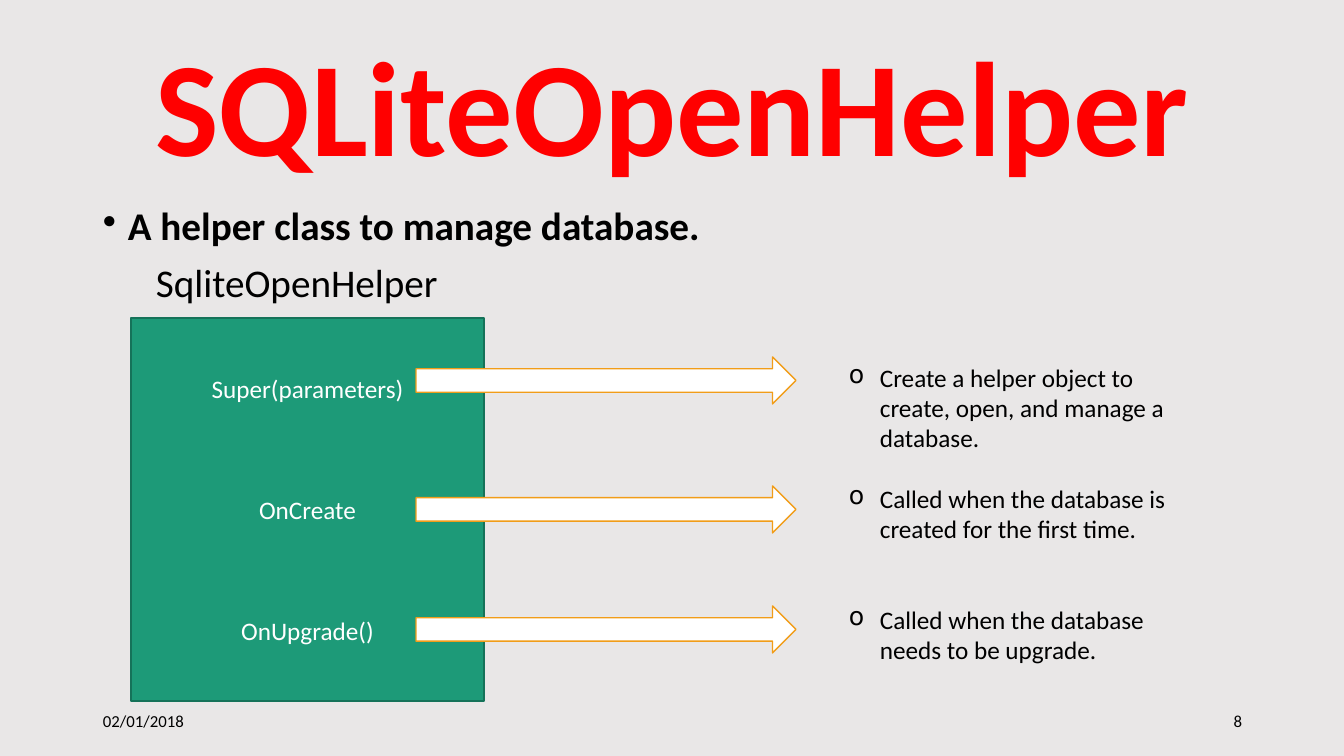
from dataclasses import dataclass

from lxml import etree
from pptx import Presentation, util as u
from pptx.dml.color import RGBColor
from pptx.enum import shapes, text
from pptx.oxml import ns

LEFT, MID, RIGHT = text.PP_ALIGN.LEFT, text.PP_ALIGN.CENTER, text.PP_ALIGN.RIGHT


@dataclass(frozen=True)
class Theme:
    font: str = "Calibri"
    back: str = "E9E7E7"
    title: str = "FF0000"
    ink: str = "000000"
    white: str = "FFFFFF"
    green: str = "1D9A78"
    edge: str = "157259"
    gold: str = "F19D19"
    huge: int = 96
    lead: int = 28
    base: int = 18
    small: int = 12


THEME = Theme()


def px(n):
    return u.Emu(round(n * 914400 / 100.8))


def rgb(code):
    return RGBColor.from_string(code)


def style(para, size, color, align=LEFT, bold=False, before=0, line=1.0):
    para.alignment = align
    para.space_before = u.Pt(before)
    para.line_spacing = line
    for run in para.runs:
        font = run.font
        font.name, font.size, font.bold = THEME.font, u.Pt(size), bold
        font.color.rgb = rgb(color)


def indent(para, left, mark=None):
    """Indent a paragraph, with an optional hanging bullet."""
    props = para._p.get_or_add_pPr()
    props.set("marL", str(px(left)))
    if mark:
        props.set("indent", str(-px(left)))
        etree.SubElement(props, ns.qn("a:buChar")).set("char", mark)


def add_box(slide, area, lines, anchor=text.MSO_ANCHOR.TOP):
    box = slide.shapes.add_textbox(*map(px, area))
    frame = box.text_frame
    frame.word_wrap = True
    frame.vertical_anchor = anchor
    frame.text = "\n".join(lines)
    return frame.paragraphs


def add_block(slide, kind, area, fill, edge):
    block = slide.shapes.add_shape(kind, *map(px, area))
    block.shadow.inherit = False
    block.fill.solid()
    block.fill.fore_color.rgb = rgb(fill)
    block.line.color.rgb = rgb(edge)
    block.line.width = u.Pt(1)
    return block


def add_title(slide, words):
    title = slide.shapes.title
    title.left, title.top, title.width, title.height = map(px, (93, 40, 1159, 146))
    frame = title.text_frame
    frame.auto_size = text.MSO_AUTO_SIZE.NONE
    frame.vertical_anchor = text.MSO_ANCHOR.MIDDLE
    frame.text = words
    style(frame.paragraphs[0], THEME.huge, THEME.title, MID, True, line=0.9)


def add_lead(slide, claim, label):
    first, second = add_box(slide, (93, 202, 1159, 110), (claim, label))
    style(first, THEME.lead, THEME.ink, bold=True, before=10, line=0.9)
    indent(first, 25, "•")
    style(second, THEME.lead, THEME.ink, before=10, line=0.9)
    indent(second, 53)


def add_class(slide, names):
    block = add_block(slide, shapes.MSO_SHAPE.RECTANGLE, (131, 318, 353, 383),
                      THEME.green, THEME.edge)
    frame = block.text_frame
    frame.vertical_anchor = text.MSO_ANCHOR.MIDDLE
    frame.text = "\n".join(names)
    for i, para in enumerate(frame.paragraphs):
        style(para, THEME.base, THEME.white, MID, before=65 if i else 0)


def add_notes(slide, notes):
    paras = add_box(slide, (839, 357, 370, 316), [note for note, _ in notes])
    for para, (_, gap) in zip(paras, notes):
        style(para, THEME.base, THEME.ink, before=gap)
        indent(para, 31, "o")


def add_foot(slide, left, words, align):
    para, = add_box(slide, (left, 701, 302, 40), [words], text.MSO_ANCHOR.MIDDLE)
    style(para, THEME.small, THEME.ink, align)


def main():
    deck = Presentation()
    deck.slide_width, deck.slide_height = px(1344), px(756)
    slide = deck.slides.add_slide(deck.slide_layouts[5])
    slide.background.fill.solid()
    slide.background.fill.fore_color.rgb = rgb(THEME.back)

    # Heading and lead text
    add_title(slide, "SQLiteOpenHelper")
    add_lead(slide, "A helper class to manage database.", "SqliteOpenHelper")

    # Class box with its methods
    add_class(slide, ("Super(parameters)", "OnCreate", "OnUpgrade()"))

    # Arrows from each method to its meaning
    for top in (357, 486, 606):
        add_block(slide, shapes.MSO_SHAPE.RIGHT_ARROW, (416, top, 380, 47),
                  THEME.white, THEME.gold)

    # Meanings, each with the gap above it in points
    add_notes(slide, (
        ("Create a helper object to create, open, and manage a database.", 0),
        ("Called when the database is created for the first time.", 22),
        ("Called when the database needs to be upgrade.", 43),
    ))

    # Footer
    add_foot(slide, 93, "02/01/2018", LEFT)
    add_foot(slide, 950, "8", RIGHT)
    deck.save("out.pptx")


if __name__ == "__main__":
    main()
